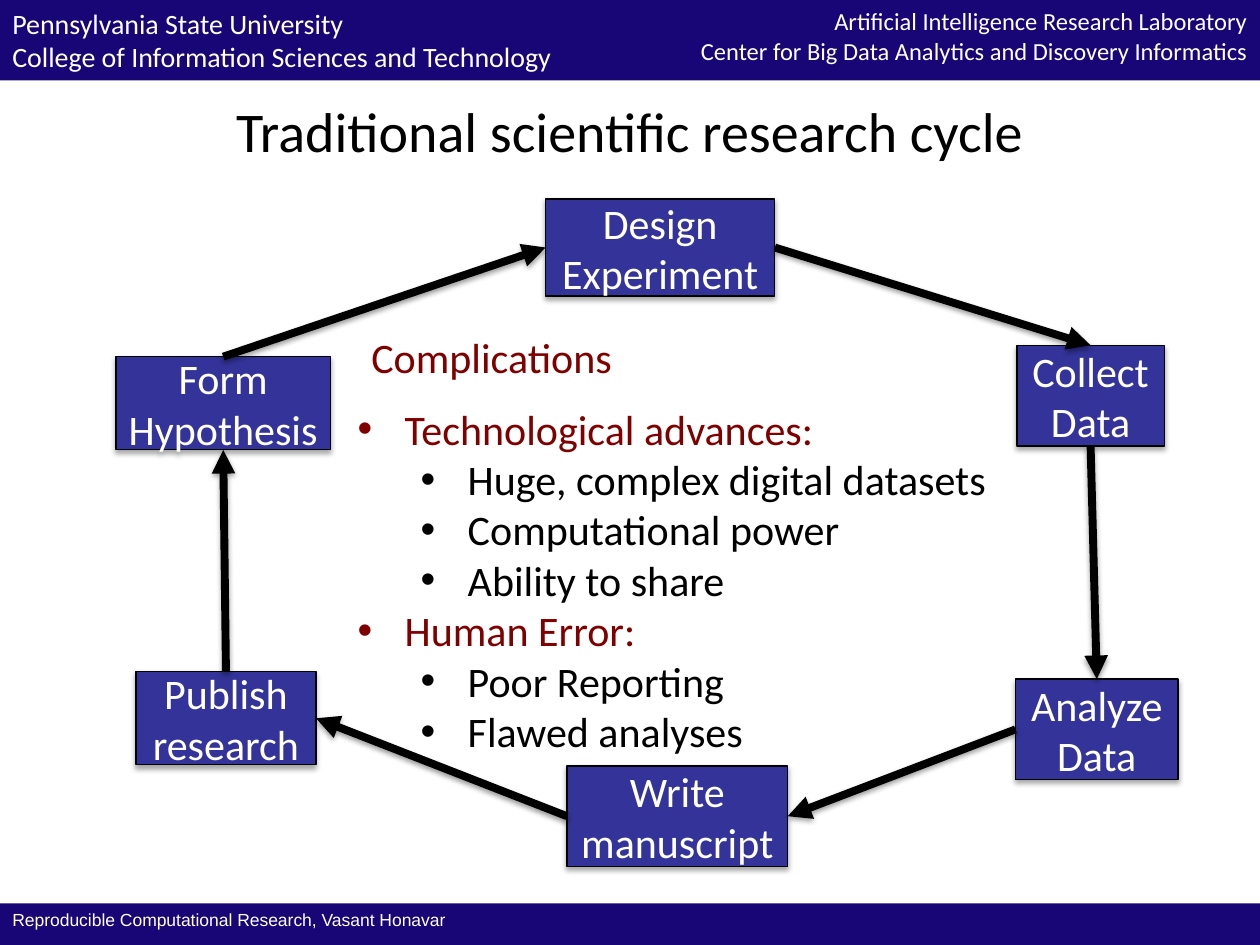
from dataclasses import dataclass

from lxml.etree import SubElement
from pptx import Presentation
from pptx.dml.color import RGBColor
from pptx.enum.shapes import MSO_CONNECTOR, MSO_SHAPE
from pptx.enum.text import MSO_ANCHOR, PP_ALIGN
from pptx.oxml.ns import qn
from pptx.util import Cm, Pt


@dataclass(frozen=True)
class Theme:
    band: RGBColor = RGBColor(0x18, 0x05, 0x76)
    step: RGBColor = RGBColor(0x33, 0x33, 0x99)
    accent: RGBColor = RGBColor(0x80, 0x00, 0x00)
    dark: RGBColor = RGBColor(0x00, 0x00, 0x00)
    light: RGBColor = RGBColor(0xFF, 0xFF, 0xFF)
    font: str = "Calibri"
    footer_font: str = "Arial"
    title_size: Pt = Pt(32)
    body_size: Pt = Pt(24)
    school_size: Pt = Pt(16)
    lab_size: Pt = Pt(14)
    footer_size: Pt = Pt(10)


theme = Theme()
LEFT, CENTER, RIGHT = PP_ALIGN.LEFT, PP_ALIGN.CENTER, PP_ALIGN.RIGHT


def write(frame, lines, size, color, align=LEFT, font=theme.font):
    frame.word_wrap = True
    frame.text = "\n".join(lines)
    for paragraph in frame.paragraphs:
        paragraph.alignment = align
        paragraph.font.name = font
        paragraph.font.size = size
        paragraph.font.color.rgb = color


def add_shadow(properties, opacity, distance):
    effects = properties.find(qn("a:effectLst"))
    if effects is None:
        effects = SubElement(properties, qn("a:effectLst"))
    shadow = SubElement(effects, qn("a:outerShdw"), blurRad=str(Pt(3.1)),
                        dist=str(Pt(distance)), dir="5400000", rotWithShape="0")
    color = SubElement(shadow, qn("a:srgbClr"), val=str(theme.dark))
    SubElement(color, qn("a:alpha"), val=str(opacity * 1000))


prs = Presentation()
prs.slide_width, prs.slide_height = Cm(25.4), Cm(19.05)
slide = prs.slides.add_slide(prs.slide_layouts[6])
shapes = slide.shapes

# Header and footer bands
bands = [
    (0, 0, 25.4, 1.62, ["Pennsylvania State University",
                        "College of Information Sciences and Technology"],
     theme.school_size, LEFT, theme.font),
    (11.63, 0, 13.77, 1.45, ["Artificial Intelligence Research Laboratory",
                             "Center for Big Data Analytics and Discovery Informatics"],
     theme.lab_size, RIGHT, theme.font),
    (0, 18.21, 25.4, 0.84, ["Reproducible Computational Research, Vasant Honavar"],
     theme.footer_size, LEFT, theme.footer_font),
]
for left, top, width, height, lines, size, align, font in bands:
    band = shapes.add_shape(MSO_SHAPE.RECTANGLE, Cm(left), Cm(top), Cm(width), Cm(height))
    band.shadow.inherit = False
    band.fill.solid()
    band.fill.fore_color.rgb = theme.band
    band.line.fill.background()
    band.text_frame.vertical_anchor = MSO_ANCHOR.TOP
    write(band.text_frame, lines, size, theme.light, align, font)

# Title
title = shapes.add_textbox(0, Cm(1.7), Cm(25.4), Cm(1.83)).text_frame
title.vertical_anchor = MSO_ANCHOR.MIDDLE
write(title, ["Traditional scientific research cycle"], theme.title_size, theme.dark, CENTER)

# Steps of the cycle
steps = {
    "form": (2.34, 7.19, 4.32, 1.88, ["Form", "Hypothesis"]),
    "collect": (20.5, 6.96, 2.97, 2.03, ["Collect Data"]),
    "design": (11, 4.01, 4.62, 1.96, ["Design Experiment"]),
    "publish": (2.74, 13.54, 3.63, 1.88, ["Publish research"]),
    "analyze": (20.47, 13.69, 3.28, 2.03, ["Analyze Data"]),
    "write": (11.43, 15.44, 4.45, 2.03, ["Write manuscript"]),
}
step_boxes = {}
for step, (left, top, width, height, lines) in steps.items():
    box = shapes.add_shape(MSO_SHAPE.RECTANGLE, Cm(left), Cm(top), Cm(width), Cm(height))
    box.fill.solid()
    box.fill.fore_color.rgb = theme.step
    box.line.color.rgb = theme.dark
    box.line.width = Pt(0.75)
    box.shadow.inherit = False
    add_shadow(box.element.spPr, 35, 1.8)
    box.text_frame.vertical_anchor = MSO_ANCHOR.MIDDLE
    write(box.text_frame, lines, theme.body_size, theme.light, CENTER)
    step_boxes[step] = box

# Arrows between the steps
TOP_SIDE, LEFT_SIDE, BOTTOM_SIDE, RIGHT_SIDE = range(4)
arrows = [
    ("design", RIGHT_SIDE, "collect", TOP_SIDE),
    ("publish", TOP_SIDE, "form", BOTTOM_SIDE),
    ("write", LEFT_SIDE, "publish", RIGHT_SIDE),
    ("collect", BOTTOM_SIDE, "analyze", TOP_SIDE),
    ("analyze", LEFT_SIDE, "write", RIGHT_SIDE),
    ("form", TOP_SIDE, "design", LEFT_SIDE),
]
for start, start_side, end, end_side in arrows:
    arrow = shapes.add_connector(MSO_CONNECTOR.STRAIGHT, 0, 0, 0, 0)
    arrow.begin_connect(step_boxes[start], start_side)
    arrow.end_connect(step_boxes[end], end_side)
    arrow.line.color.rgb = theme.dark
    arrow.line.width = Pt(4.5)
    SubElement(arrow.line._get_or_add_ln(), qn("a:tailEnd"), type="triangle")
    add_shadow(arrow.element.spPr, 38, 1.6)

# Complications list
complications = [
    (0, "Technological advances:"),
    (1, "Huge, complex digital datasets"),
    (1, "Computational power"),
    (1, "Ability to share"),
    (0, "Human Error:"),
    (1, "Poor Reporting"),
    (1, "Flawed analyses"),
]
details = shapes.add_textbox(Cm(6.96), Cm(8), Cm(14.15), Cm(7.44)).text_frame
details.word_wrap = True
for index, (level, text) in enumerate(complications):
    item = details.paragraphs[0] if index == 0 else details.add_paragraph()
    item.text = text
    item.level = level
    indent = item._p.get_or_add_pPr()
    indent.set("marL", str(Cm(0.95 + 1.27 * level)))
    indent.set("indent", str(Cm(-0.95)))
    SubElement(indent, qn("a:buFont"), typeface=theme.footer_font)
    SubElement(indent, qn("a:buChar"), char="•")
    item.font.name = theme.font
    item.font.size = theme.body_size
    item.font.color.rgb = theme.dark if level else theme.accent

heading = shapes.add_textbox(Cm(7.19), Cm(6.55), Cm(5.44), Cm(1.27)).text_frame
write(heading, ["Complications"], theme.body_size, theme.accent, CENTER)
heading.word_wrap = False

prs.save("out.pptx")
